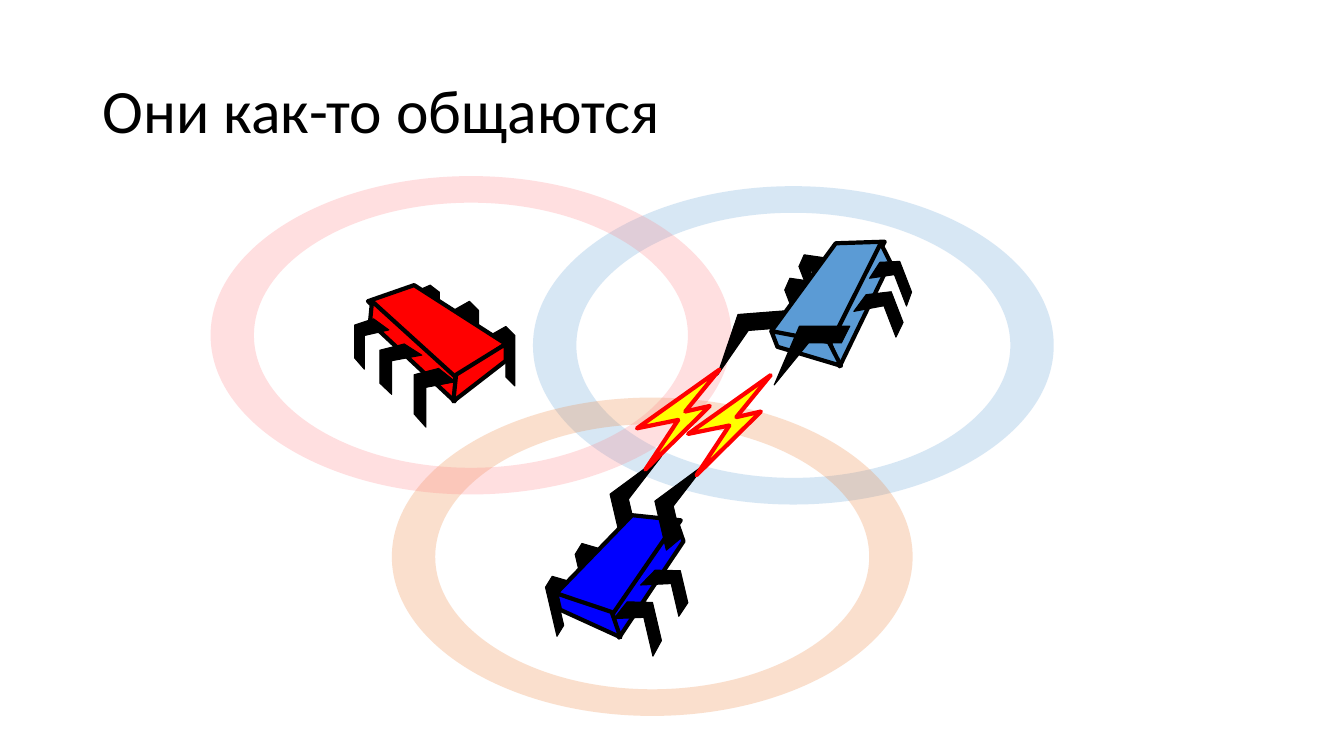
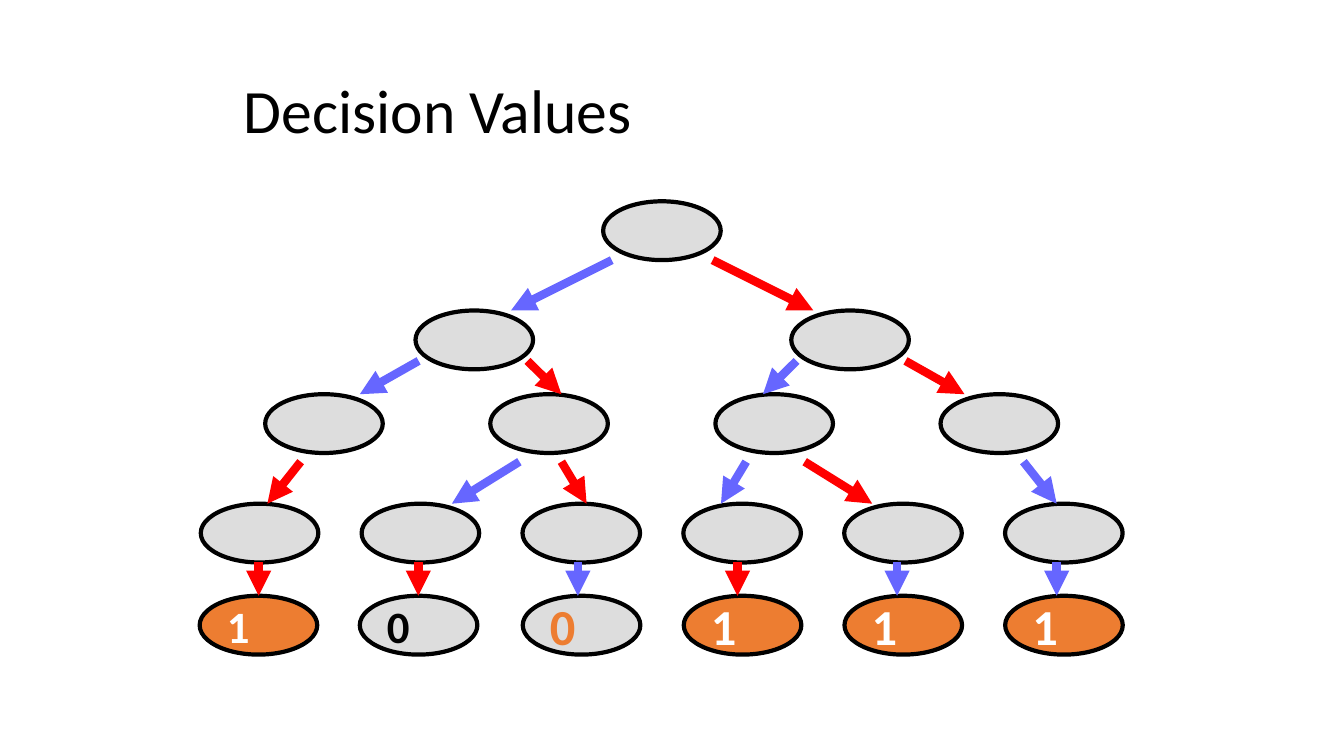
from dataclasses import dataclass
from math import cos, radians, sin

from lxml.etree import SubElement
from pptx import Presentation
from pptx.dml.color import RGBColor
from pptx.enum.shapes import MSO_CONNECTOR as Connector, MSO_SHAPE as Shape
from pptx.enum.text import MSO_ANCHOR as Anchor, PP_ALIGN as Align
from pptx.oxml.ns import qn
from pptx.util import Pt


@dataclass(frozen=True)
class Theme:
    font: str = "Calibri"
    title_size: int = 44
    black: str = "000000"
    white: str = "FFFFFF"
    red: str = "FF0000"
    blue: str = "0000FF"
    sky: str = "5B9BD5"
    orange: str = "ED7D31"
    pink: str = "FF7C80"
    yellow: str = "FFFF00"
    grey: str = "DDDDDD"
    violet: str = "6666FF"
    thin: float = 0.75
    outline: float = 3
    arrow: float = 6


THEME = Theme()

# Content of the robots slide: all coordinates in points
ROBOTS_TITLE = ("Они как-то общаются", (66, 28.8, 828, 104.4))
RING_SIZE, RING_BAND, RING_OPACITY = (372, 227.4), (31, 19), 24
RINGS = [(380.7, 133, THEME.sky), (279.9, 284, THEME.orange), (150.4, 125.8, THEME.pink)]

BODY = [
    [(0, 0), (65.5, 42), (29, 67), (-33, 11.5)],
    [(-30, 11.5), (29.5, 65.5), (29, 83), (-31.5, 26.5)],
    [(65.5, 42), (65.5, 54), (28, 83), (30, 64)],
]
LIMBS = {
    "long back": [(0, 6.5), (11.5, 0), (18, 6.5), (18, 42.5), (11.5, 36), (11.5, 12.5), (0, 18)],
    "short back": [(0, 5), (11.5, 0), (18, 5), (18, 36), (11.5, 30), (11.5, 10), (0, 15)],
    "long front": [(17.5, 0), (29.5, 9.5), (8.5, 13.5), (8.5, 42), (0, 32.5), (0, 4.5)],
    "middle front": [(17.5, 0), (30, 8), (8.5, 12), (8.5, 36), (0, 28), (0, 4.5)],
    "short front": [(13.5, 0), (24.5, 8), (7, 12), (7, 36), (0, 28), (0, 4.5)],
}
ARM = [(0, 0), (12, -6), (12, -29.5), (42, -54), (0, -36)]

# Legs: limb and its offset on the body. Arms: anchor, angle, mirrored.
ROBOTS = [
    {
        "color": THEME.red, "anchor": (295.8, 203.7), "angle": 0, "mirrored": False,
        "back legs": [("long back", 54, 29.5), ("long back", 28, 11.5), ("short back", 0, 0)],
        "front legs": [("long front", 0, 59.5), ("middle front", -24.5, 42),
                       ("short front", -42.5, 24)],
        "arms": [],
    },
    {
        "color": THEME.blue, "anchor": (451.5, 368), "angle": -13.2, "mirrored": True,
        "back legs": [("long back", 54, 29.5), ("long back", 28, 11.5)],
        "front legs": [("long front", 0, 59.5), ("middle front", -24.5, 42)],
        "arms": [((444, 388), -13.2, False), ((476, 393), -13.2, False)],
    },
    {
        "color": THEME.sky, "anchor": (597, 173.8), "angle": -21.1, "mirrored": True,
        "back legs": [("long back", 12.5, -0.5), ("long back", 28, 11.5)],
        "front legs": [("short front", -38, 24), ("middle front", -24.5, 42)],
        "arms": [((563, 221.8), -94.5, True), ((607, 233), -90, True)],
    },
]
BOLT = [(461, 335.5), (484.5, 300), (455, 306), (514, 264), (489.5, 294), (507, 290)]
BOLT_SHIFTS = [(0, 0), (36.5, 4)]

# Content of the tree slide
TREE_TITLE = ("Decision Values", (167, 35.8, 612, 90))
NODE_SIZE = (84, 42)
# Each level: top, first left, step, count
LEVELS = [(143.8, 430.8, 0, 1), (221.8, 296.8, 268.4, 2), (281.6, 189.4, 160.8, 4),
          (359.8, 143.4, 114.9, 6)]
LEAF_TOP = 425.6
# Each leaf: left, value, type size, fill, text colour
LEAVES = [
    (142.6, "1", 32, THEME.orange, THEME.white),
    (257, "0", 32, THEME.grey, THEME.black),
    (373.4, "0", 36, THEME.grey, THEME.orange),
    (488.4, "1", 36, THEME.orange, THEME.white),
    (603.2, "1", 36, THEME.orange, THEME.white),
    (718, "1", 36, THEME.orange, THEME.white),
]
LEAF_BRANCHES = [THEME.red, THEME.red, THEME.violet, THEME.red, THEME.violet, THEME.violet]
# Each group: start y, end y, then (start x, end x, colour) per arrow
BRANCHES = [
    (185.8, 221.8, [(437, 365, THEME.violet), (509, 581, THEME.red)]),
    (257.8, 281.6, [(299, 257, THEME.violet), (376.8, 401, THEME.red),
                    (569, 545, THEME.violet), (646.8, 689, THEME.red)]),
    (329.8, 359.8, [(214.8, 191, THEME.red), (371, 322.8, THEME.violet),
                    (401, 419, THEME.red), (533, 515, THEME.violet),
                    (574.8, 623, THEME.red), (731, 754.8, THEME.violet)]),
    (401.8, 425.6, [(184.8 + 114 * i, 184.8 + 114 * i, color)
                    for i, color in enumerate(LEAF_BRANCHES)]),
]


# Shared helpers
def rgb(color):
    return RGBColor.from_string(color)


def style_text(paragraph, size, color, bold=False):
    paragraph.alignment = Align.LEFT
    for run in paragraph.runs:
        run.font.name = THEME.font
        run.font.size = Pt(size)
        run.font.bold = bold
        run.font.color.rgb = rgb(color)


def add_titled_slide(presentation, title, box):
    slide = presentation.slides.add_slide(presentation.slide_layouts[5])
    shape = slide.shapes.title
    shape.left, shape.top, shape.width, shape.height = map(Pt, box)
    shape.text_frame.text = title
    shape.text_frame.vertical_anchor = Anchor.MIDDLE
    paragraph = shape.text_frame.paragraphs[0]
    paragraph.line_spacing = 0.9
    style_text(paragraph, THEME.title_size, THEME.black)
    return slide


def paint(shape, fill, line=None, width=0):
    shape.shadow.inherit = False
    shape.fill.solid()
    shape.fill.fore_color.rgb = rgb(fill)
    if line is None:
        shape.line.fill.background()
    else:
        shape.line.color.rgb = rgb(line)
        shape.line.width = Pt(width)


def add_outline(slide, contours):
    contours = [[(Pt(x), Pt(y)) for x, y in contour] for contour in contours]
    builder = slide.shapes.build_freeform(*contours[0][0])
    for i, contour in enumerate(contours):
        if i:
            builder.move_to(*contour[0])
        builder.add_line_segments(contour[1:], close=True)
    return builder.convert_to_shape()


# Robots
def place(points, anchor, angle, mirrored):
    """Mirror, turn and move points to the anchor."""
    cosine, sine = cos(radians(angle)), sin(radians(angle))
    flip = -1 if mirrored else 1
    return [(anchor[0] + flip * x * cosine - y * sine,
             anchor[1] + flip * x * sine + y * cosine) for x, y in points]


def ellipse_points(center, radii, direction):
    """Start point, then two handles and an end point for each quarter."""
    handle = 0.55
    unit = [(-1, 0)]
    for x, y in [(-1, 0), (0, -1), (1, 0), (0, 1)]:
        end = (-y, x)
        unit += [(x + handle * end[0], y + handle * end[1]),
                 (end[0] + handle * x, end[1] + handle * y), end]
    return [(center[0] + radii[0] * x, center[1] + direction * radii[1] * y)
            for x, y in unit]


def curve_segments(shape):
    """Turn every three straight segments into one cubic curve."""
    segments = list(shape._element.spPr.iter(qn("a:lnTo")))
    for first, *others in zip(segments[::3], segments[1::3], segments[2::3]):
        first.tag = qn("a:cubicBezTo")
        for segment in others:
            first.append(segment[0])
            segment.getparent().remove(segment)


def add_ring(slide, left, top, color):
    outer = [side / 2 for side in RING_SIZE]
    inner = [radius - band for radius, band in zip(outer, RING_BAND)]
    center = (left + outer[0], top + outer[1])
    ring = add_outline(slide, [ellipse_points(center, outer, 1),
                               ellipse_points(center, inner, -1)])
    curve_segments(ring)
    paint(ring, color)
    color_node = ring._element.spPr.find(qn("a:solidFill")).find(qn("a:srgbClr"))
    SubElement(color_node, qn("a:alpha")).set("val", str(RING_OPACITY * 1000))


def add_robot(slide, robot):
    pose = (robot["anchor"], robot["angle"], robot["mirrored"])

    def add_arms(arms):
        for arm in arms:
            paint(add_outline(slide, [place(ARM, *arm)]), THEME.black, THEME.black, THEME.thin)

    def add_legs(legs):
        for limb, dx, dy in legs:
            points = [(x + dx, y + dy) for x, y in LIMBS[limb]]
            paint(add_outline(slide, [place(points, *pose)]),
                  THEME.black, THEME.black, THEME.thin)

    add_arms(robot["arms"][:1])
    add_legs(robot["back legs"])
    for face in BODY:
        paint(add_outline(slide, [place(face, *pose)]),
              robot["color"], THEME.black, THEME.outline)
    add_legs(robot["front legs"])
    add_arms(robot["arms"][1:])


def build_robots_slide(presentation):
    slide = add_titled_slide(presentation, *ROBOTS_TITLE)
    for ring in RINGS:
        add_ring(slide, *ring)
    for robot in ROBOTS:
        add_robot(slide, robot)
    for shift in BOLT_SHIFTS:
        paint(add_outline(slide, [place(BOLT, shift, 0, False)]),
              THEME.yellow, THEME.red, THEME.outline)


# Decision tree
def add_node(slide, left, top, fill=THEME.grey):
    node = slide.shapes.add_shape(Shape.OVAL, Pt(left), Pt(top), *map(Pt, NODE_SIZE))
    paint(node, fill, THEME.black, THEME.outline)
    return node


def add_arrow(slide, start, end, color):
    arrow = slide.shapes.add_connector(Connector.STRAIGHT, *map(Pt, start + end))
    arrow.line.color.rgb = rgb(color)
    arrow.line.width = Pt(THEME.arrow)
    SubElement(arrow.line._get_or_add_ln(), qn("a:tailEnd")).set("type", "triangle")
    SubElement(arrow._element.spPr, qn("a:effectLst"))


def build_tree_slide(presentation):
    slide = add_titled_slide(presentation, *TREE_TITLE)
    for top, left, step, count in LEVELS:
        for i in range(count):
            add_node(slide, left + i * step, top)
    for left, value, size, fill, color in LEAVES:
        leaf = add_node(slide, left, LEAF_TOP, fill)
        leaf.text_frame.text = value
        leaf.text_frame.word_wrap = True
        leaf.text_frame.vertical_anchor = Anchor.MIDDLE
        style_text(leaf.text_frame.paragraphs[0], size, color, bold=True)
    for start_y, end_y, arrows in BRANCHES:
        for start_x, end_x, color in arrows:
            add_arrow(slide, (start_x, start_y), (end_x, end_y), color)


def main():
    presentation = Presentation()
    presentation.slide_width, presentation.slide_height = Pt(960), Pt(540)
    build_robots_slide(presentation)
    build_tree_slide(presentation)
    presentation.save("out.pptx")


if __name__ == "__main__":
    main()
